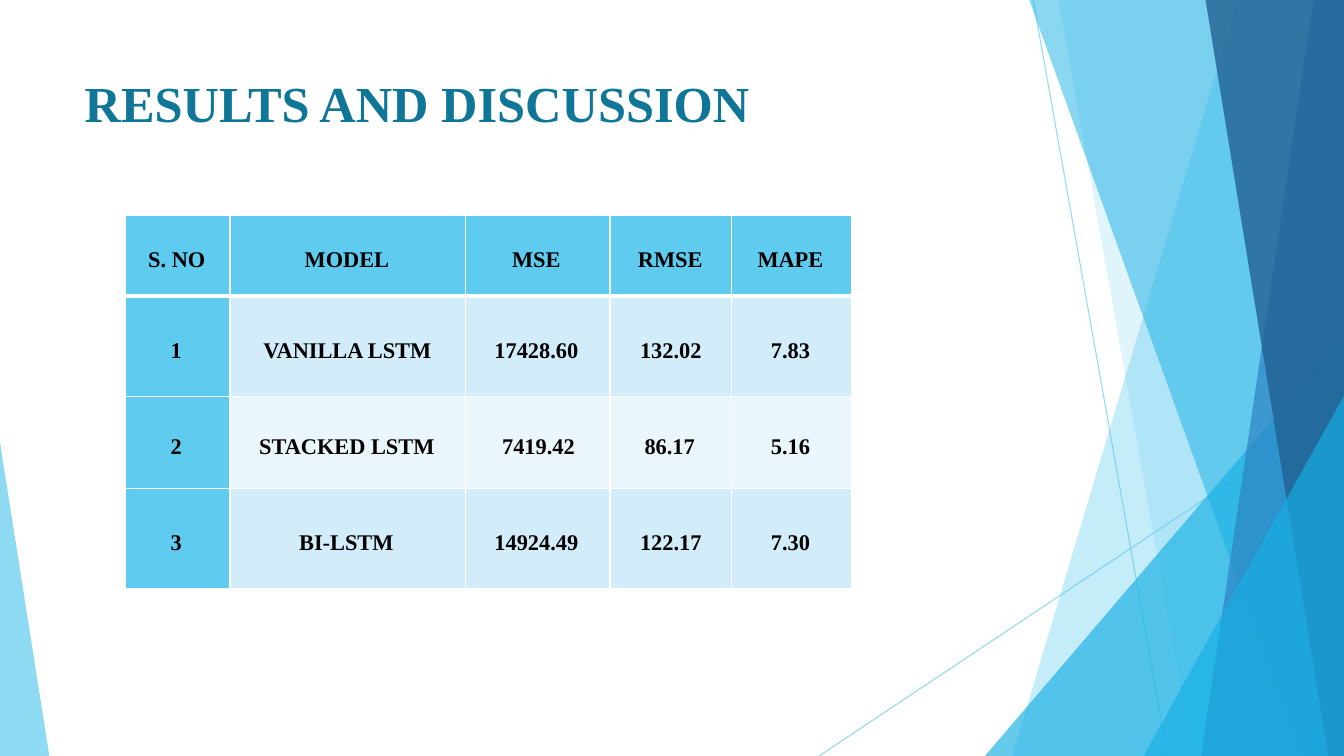
from lxml.etree import SubElement
from pptx import Presentation
from pptx.dml.color import RGBColor
from pptx.enum.shapes import MSO_CONNECTOR, MSO_SHAPE
from pptx.enum.text import MSO_ANCHOR, MSO_AUTO_SIZE, PP_ALIGN
from pptx.oxml.ns import qn
from pptx.util import Pt

PX = 9525  # EMU per px, 96 px to the inch
W, H = 1280, 720
FONT = "Times New Roman"
COLORS = {
    "sky": "5FCBEF", "cyan": "17B0E4", "blue": "2E83C3", "navy": "226292",
    "title": "0F7698", "band": "D2ECF9", "light": "EAF6FC",
    "text": "000000", "border": "FFFFFF",
}


def paint(fill, color, opacity=100):
    """Give a fill a solid colour with an opacity in percent."""
    fill.solid()
    fill.fore_color.rgb = RGBColor.from_string(COLORS[color])
    if opacity < 100:
        for clr in fill._xPr.iter(qn("a:srgbClr")):
            SubElement(clr, qn("a:alpha")).set("val", str(opacity * 1000))


def style_run(r, size, color):
    r.font.name = FONT
    r.font.size = Pt(size)
    r.font.bold = True
    r.font.color.rgb = RGBColor.from_string(COLORS[color])


prs = Presentation()
prs.slide_width, prs.slide_height = W * PX, H * PX
s = prs.slides.add_slide(prs.slide_layouts[5])

# Thin crossing lines
for x1, y1, x2, y2 in [(984, 0, 1112, H), (W, 387, 780, H)]:
    line = s.shapes.add_connector(MSO_CONNECTOR.STRAIGHT, x1 * PX, y1 * PX, x2 * PX, y2 * PX)
    line.line.width = Pt(0.75)
    paint(line.line.fill, "sky", 70)
    SubElement(line._element.spPr, qn("a:effectLst"))

# Translucent facets, back to front
# band: top x, bottom x, reaching to the right edge
# triangle: left, top, width, apex position, standing on the bottom edge
facets = [
    ("band", (1179, 964), "sky", 36),
    ("band", (1008, 1136), "sky", 20),
    ("triangle", (938, 320, 342, 1), "cyan", 66),
    ("band", (980, 1239), "cyan", 50),
    ("band", (1251, 1144), "blue", 70),
    ("band", (1148, 1265), "navy", 80),
    ("triangle", (1089, 377, 191, 1), "cyan", 66),
    ("triangle", (0, 421, 47, 0), "sky", 70),
]
for kind, geometry, color, opacity in facets:
    if kind == "band":
        top_x, bottom_x = geometry
        builder = s.shapes.build_freeform(top_x, -1, scale=PX)
        builder.add_line_segments([(W, -1), (W, H), (bottom_x, H)], close=True)
        sp = builder.convert_to_shape()
    else:
        left, top, width, apex = geometry
        sp = s.shapes.add_shape(MSO_SHAPE.ISOSCELES_TRIANGLE,
                                left * PX, top * PX, width * PX, (H - top) * PX)
        sp.adjustments[0] = apex
    paint(sp.fill, color, opacity)
    sp.line.fill.background()
    sp.shadow.inherit = False

# Title
title = s.shapes.title
title.left, title.top, title.width, title.height = 71 * PX, 64 * PX, 902 * PX, 95 * PX
tf = title.text_frame
tf.text = "RESULTS AND DISCUSSION"
tf.word_wrap = True
tf.auto_size = MSO_AUTO_SIZE.NONE
tf.vertical_anchor = MSO_ANCHOR.TOP
tf.paragraphs[0].alignment = PP_ALIGN.LEFT
style_run(tf.paragraphs[0].runs[0], 36, "title")

# Results table
rows = [
    ["S. NO ", "MODEL ", "MSE ", "RMSE ", "MAPE "],
    ["1 ", "VANILLA LSTM ", "17428.60 ", "132.02 ", "7.83 "],
    ["2 ", "STACKED LSTM ", "7419.42 ", "86.17 ", "5.16 "],
    ["3 ", "BI-LSTM ", "14924.49 ", "122.17 ", "7.30 "],
]
col_widths = [100, 224, 138, 116, 114]
row_heights = [77, 96, 87, 96]
indents = {(0, 0): 1, (0, 3): 1, (1, 1): 2, (1, 3): 2, (2, 1): 1, (2, 2): 4, (3, 3): 2}

table = s.shapes.add_table(len(rows), len(col_widths), 119 * PX, 205 * PX,
                           sum(col_widths) * PX, sum(row_heights) * PX).table
table.first_row = table.horz_banding = False
for column, width in zip(table.columns, col_widths):
    column.width = width * PX
for row, height in zip(table.rows, row_heights):
    row.height = height * PX

for i, values in enumerate(rows):
    for j, value in enumerate(values):
        cell = table.cell(i, j)
        cell.vertical_anchor = MSO_ANCHOR.MIDDLE
        cell.margin_left = cell.margin_top = 7 * PX
        cell.margin_right, cell.margin_bottom = 4 * PX, 0
        p = cell.text_frame.paragraphs[0]
        p.text = value
        p.alignment = PP_ALIGN.CENTER
        p.line_spacing = 1.07
        p._p.get_or_add_pPr().set("marL", str(indents.get((i, j), 0) * PX))
        style_run(p.runs[0], 16, "text")

        # White borders, thicker under the header; the fill follows them in the XML
        tcPr = cell._tc.get_or_add_tcPr()
        for side in ("lnL", "lnR", "lnT", "lnB"):
            thick = (i, side) in [(0, "lnB"), (1, "lnT")]
            ln = SubElement(tcPr, qn(f"a:{side}"), w=str(Pt(3 if thick else 1)))
            solid = SubElement(ln, qn("a:solidFill"))
            SubElement(solid, qn("a:srgbClr"), val=COLORS["border"])
        if i == 0 or j == 0:
            paint(cell.fill, "sky")
        else:
            paint(cell.fill, "band" if i % 2 else "light")

prs.save("out.pptx")
